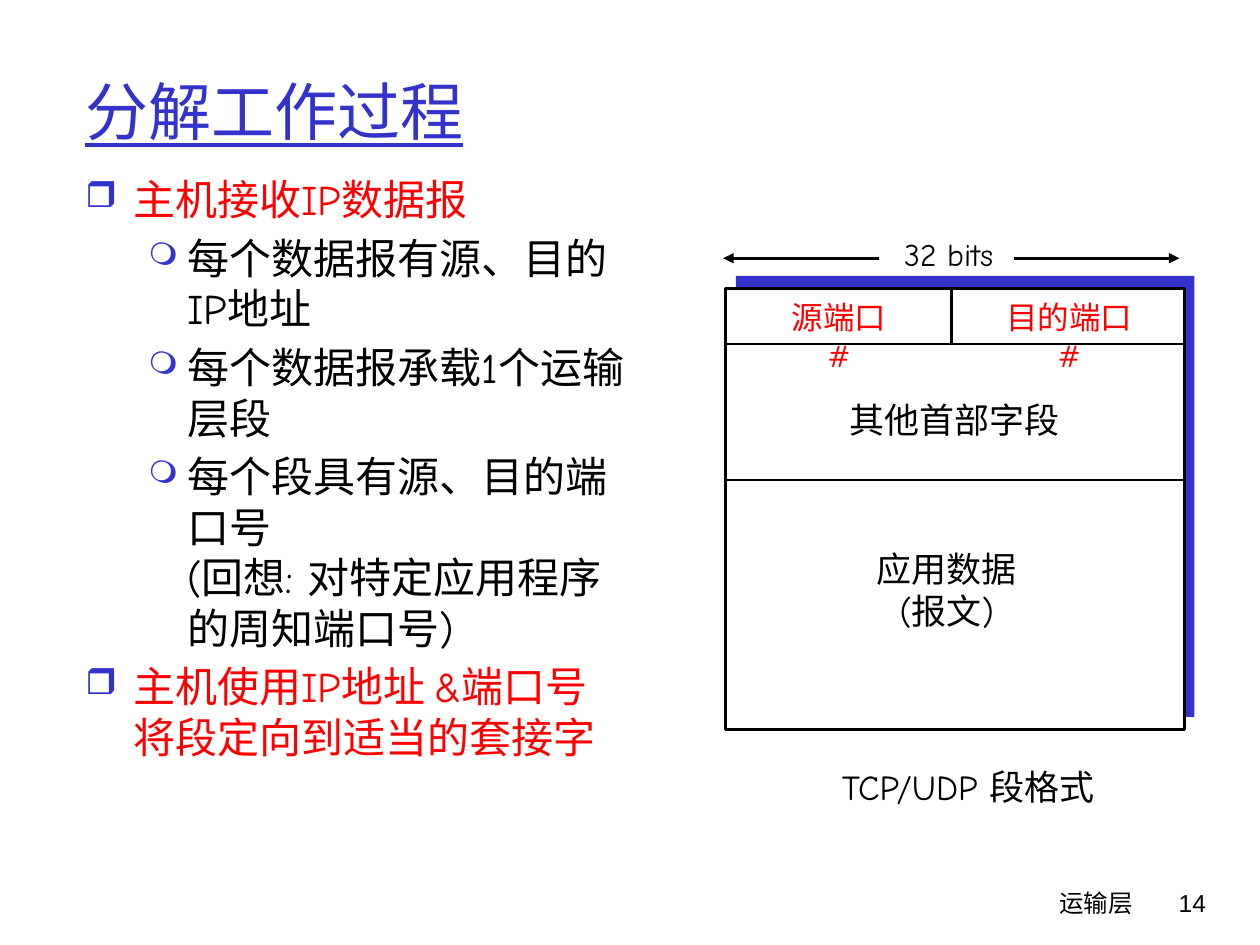
from lxml.etree import SubElement
from pptx import Presentation
from pptx.dml.color import RGBColor
from pptx.enum.shapes import MSO_CONNECTOR, MSO_SHAPE
from pptx.enum.text import MSO_ANCHOR, PP_ALIGN
from pptx.oxml.ns import qn
from pptx.util import Inches, Pt

BLUE = RGBColor(0x33, 0x33, 0xCC)
RED = RGBColor(0xFF, 0x00, 0x00)
BLACK = RGBColor(0x00, 0x00, 0x00)
WHITE = RGBColor(0xFF, 0xFF, 0xFF)
FONT = "Comic Neue"
LEFT, CENTER, RIGHT = PP_ALIGN.LEFT, PP_ALIGN.CENTER, PP_ALIGN.RIGHT

TITLE = "分解工作过程"
BULLETS = [
    (0, "主机接收IP数据报"),
    (1, "每个数据报有源、目的IP地址"),
    (1, "每个数据报承载1个运输层段"),
    (1, "每个段具有源、目的端口号 \n(回想: 对特定应用程序的周知端口号)"),
    (0, "主机使用IP地址 &端口号将段定向到适当的套接字"),
]
LEVELS = [
    {"char": "❒", "size": 85, "left": 0.38, "hang": 0.38, "color": RED},
    {"char": "❍", "size": 75, "left": 0.81, "hang": 0.31, "color": BLACK},
]
PORTS = [("源端口 #", 6.04, 1.24), ("目的端口 #", 7.74, 1.49)]
LABELS = [
    (["32 bits"], (7.01, 1.82, 1.04, 0.4), 18),
    (["其他首部字段"], (6.64, 3.11, 1.87, 0.43), 20),
    (["应用数据", "(报文)"], (6.86, 4.3, 1.31, 0.77), 20),
    (["TCP/UDP 段格式"], (6.53, 6.03, 2.31, 0.43), 20),
]
FOOTERS = [("运输层", (5.92, 7, 3.17, 0.5), FONT), ("14", (8.93, 7, 0.74, 0.5), "Arial")]

SEG_X, SEG_Y, SEG_W, SEG_H = 5.76, 2.29, 3.64, 3.5
SHADOW_DX, SHADOW_DY = 0.08, -0.1
ROW_YS = [2.73, 3.81]
PORT_SPLIT = 7.55
ARROW_Y = 2.05
ARROWS = [(8.05, 9.36), (6.98, 5.74)]

prs = Presentation()
prs.slide_width, prs.slide_height = Inches(10), Inches(7.5)
slide = prs.slides.add_slide(prs.slide_layouts[6])


def add_rect(x, y, fill, line=None):
    sp = slide.shapes.add_shape(
        MSO_SHAPE.RECTANGLE, Inches(x), Inches(y), Inches(SEG_W), Inches(SEG_H))
    sp.shadow.inherit = False
    sp.fill.solid()
    sp.fill.fore_color.rgb = fill
    if line is None:
        sp.line.fill.background()
    else:
        sp.line.color.rgb = line
        sp.line.width = Pt(1.5)


def add_line(x1, y1, x2, y2, arrow=False):
    cx = slide.shapes.add_connector(
        MSO_CONNECTOR.STRAIGHT, Inches(x1), Inches(y1), Inches(x2), Inches(y2))
    cx.line.color.rgb = BLACK
    cx.line.width = Pt(1.5)
    if arrow:
        SubElement(cx.line._get_or_add_ln(), qn("a:tailEnd"), type="triangle")
    SubElement(cx._element.spPr, qn("a:effectLst"))


def add_box(box, wrap=True, anchor=MSO_ANCHOR.TOP):
    tf = slide.shapes.add_textbox(*map(Inches, box)).text_frame
    tf.word_wrap = wrap
    tf.vertical_anchor = anchor
    return tf


def add_text(p, text, size, color=BLACK, font=FONT, align=LEFT, underline=None):
    p.alignment = align
    for i, part in enumerate(text.split("\n")):
        if i:
            p.add_line_break()
        r = p.add_run()
        r.text = part
        r.font.size = Pt(size)
        r.font.name = font
        r.font.color.rgb = color
        r.font.underline = underline


def next_paragraph(tf, i):
    return tf.add_paragraph() if i else tf.paragraphs[0]


def add_bullet(p, level):
    pPr = p._p.get_or_add_pPr()
    pPr.set("marL", str(Inches(level["left"])))
    pPr.set("indent", str(-Inches(level["hang"])))
    spacing = SubElement(pPr, qn("a:spcBef"))
    SubElement(spacing, qn("a:spcPct"), val="20000")
    color = SubElement(pPr, qn("a:buClr"))
    SubElement(color, qn("a:srgbClr"), val=str(BLUE))
    SubElement(pPr, qn("a:buSzPct"), val=str(level["size"] * 1000))
    SubElement(pPr, qn("a:buChar"), char=level["char"])


add_rect(SEG_X + SHADOW_DX, SEG_Y + SHADOW_DY, BLUE)
add_rect(SEG_X, SEG_Y, WHITE, BLACK)

tf = add_box((0.58, 0.25, 8.5, 1.25), anchor=MSO_ANCHOR.MIDDLE)
add_text(tf.paragraphs[0], TITLE, 36, BLUE, underline=True)

tf = add_box((0.58, 1.33, 4.5, 3.05))
for i, (depth, text) in enumerate(BULLETS):
    p = next_paragraph(tf, i)
    p.level = depth
    add_bullet(p, LEVELS[depth])
    add_text(p, text, 24, LEVELS[depth]["color"])

for text, x, width in PORTS:
    tf = add_box((x, 2.32, width, 0.4))
    tf.margin_left = tf.margin_right = Inches(0.16)
    add_text(tf.paragraphs[0], text, 18, RED, align=CENTER)

for y in ROW_YS:
    add_line(SEG_X, y, SEG_X + SEG_W, y)
add_line(PORT_SPLIT, ROW_YS[0], PORT_SPLIT, SEG_Y)
for start, end in ARROWS:
    add_line(start, ARROW_Y, end, ARROW_Y, arrow=True)

for lines, box, size in LABELS:
    tf = add_box(box, wrap=False)
    for i, text in enumerate(lines):
        add_text(next_paragraph(tf, i), text, size, align=CENTER)

for text, box, font in FOOTERS:
    add_text(add_box(box).paragraphs[0], text, 14, font=font, align=RIGHT)

prs.save("out.pptx")
